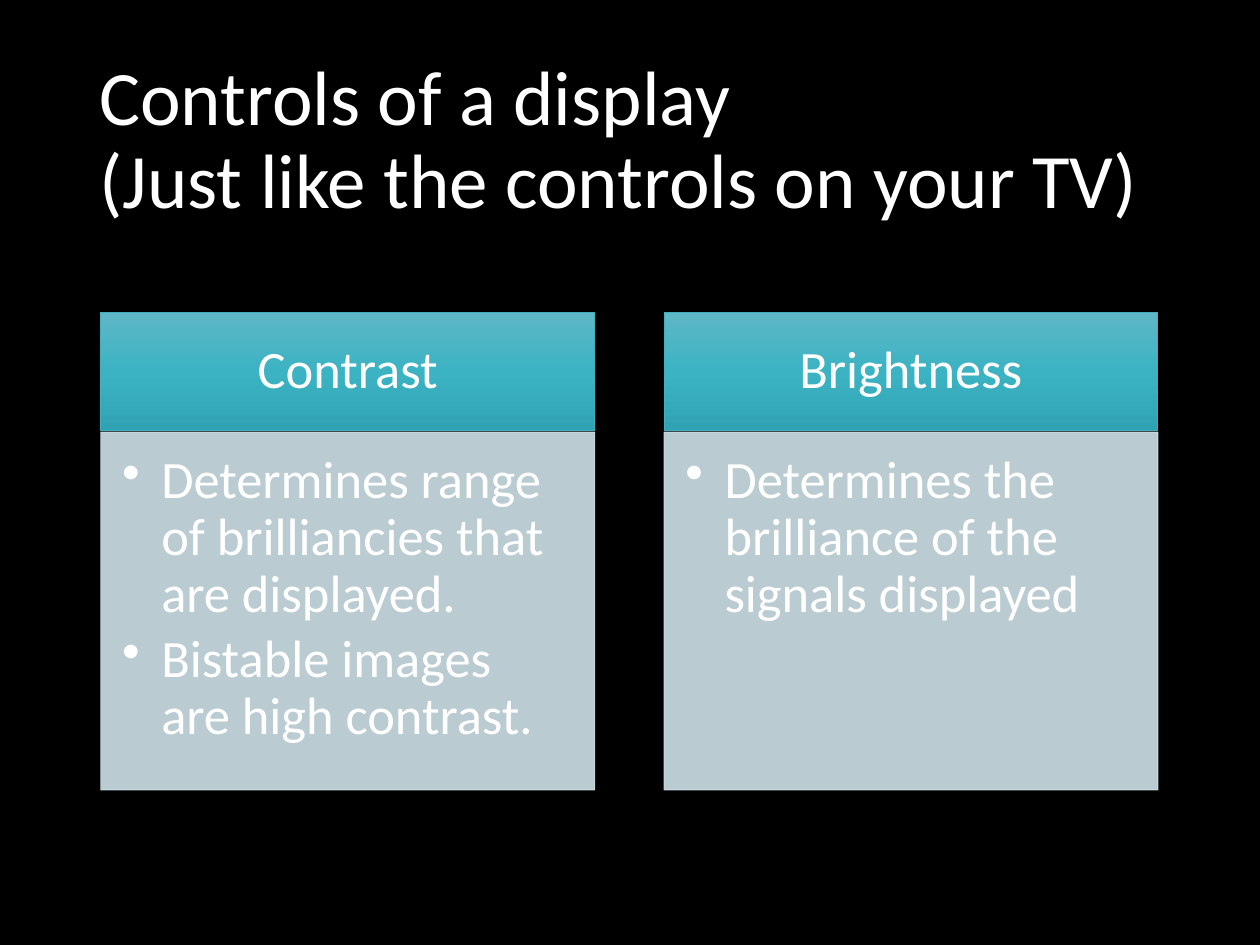
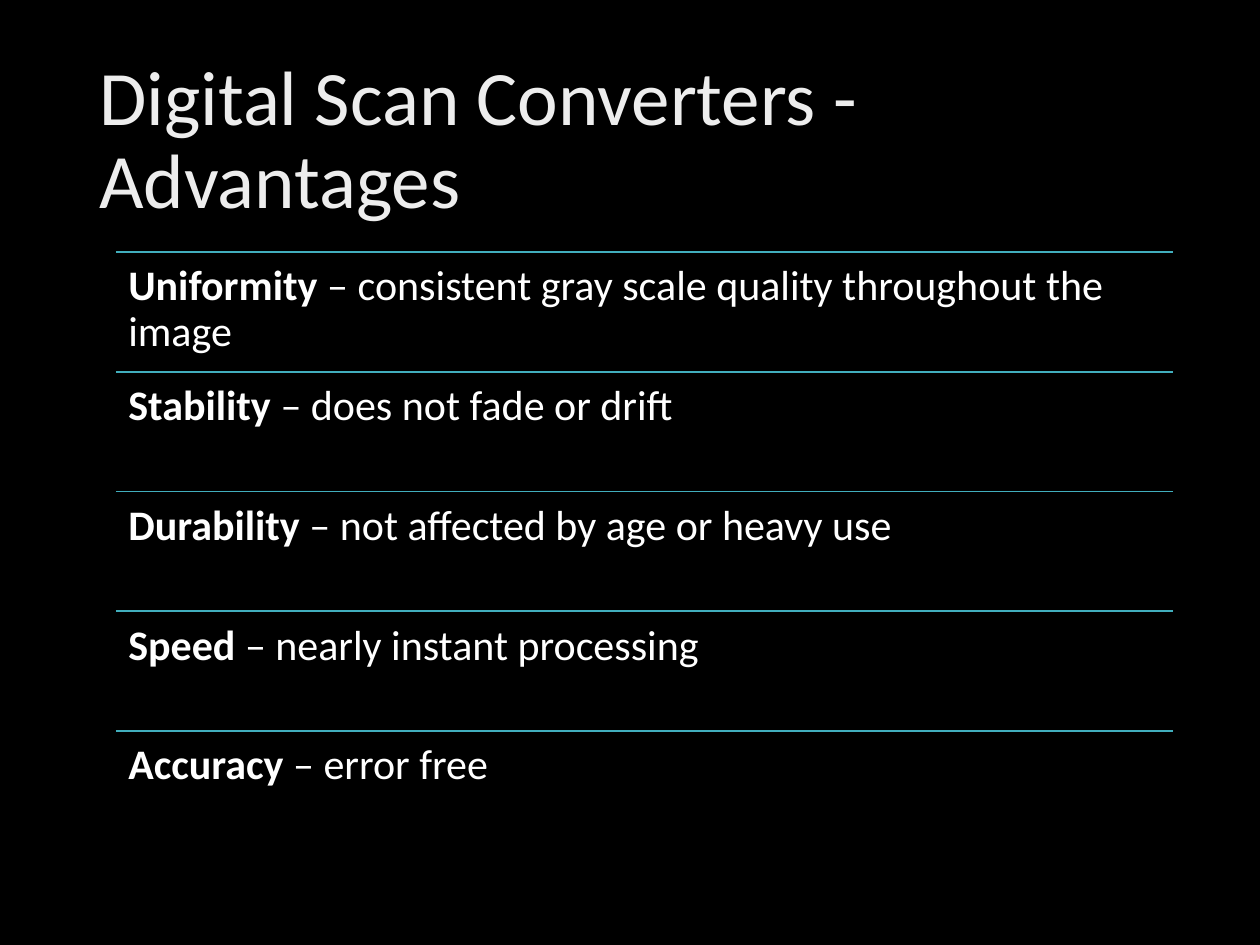
import copy
from dataclasses import dataclass

import pptx
import pptx.dml.color
import pptx.enum.shapes
import pptx.enum.text
import pptx.oxml.ns
import pptx.util
from lxml import etree
from pptx.util import Inches

FONT = "Calibri"
BLACK, WHITE, PALE = "000000", "FFFFFF", "EDEDED"
TEAL, MIST = "41AEBD", "CFE3E8"
HEAD_FADE = ((0, "5FB7C5"), (0.5, "3BB3C3"), (1, "2FA3B3"))
TOP, MIDDLE = pptx.enum.text.MSO_ANCHOR.TOP, pptx.enum.text.MSO_ANCHOR.MIDDLE
CENTER = pptx.enum.text.PP_ALIGN.CENTER
qn = pptx.oxml.ns.qn


@dataclass(frozen=True)
class Box:
    left: float
    top: float
    width: float
    height: float

    def lengths(self) -> list:
        return [Inches(n) for n in (self.left, self.top, self.width, self.height)]


@dataclass(frozen=True)
class Panel:
    head: str
    points: tuple


@dataclass(frozen=True)
class Gain:
    name: str
    detail: str


PANELS = (
    Panel("Contrast", ("Determines range of brilliancies that are displayed.",
                       "Bistable images are high contrast.")),
    Panel("Brightness", ("Determines the brilliance of the signals displayed",)),
)
GAINS = (
    Gain("Uniformity", "consistent gray scale quality throughout the image"),
    Gain("Stability", "does not fade or drift"),
    Gain("Durability", "not affected by age or heavy use"),
    Gain("Speed", "nearly instant processing"),
    Gain("Accuracy", "error free"),
)


def rgb(code: str) -> pptx.dml.color.RGBColor:
    return pptx.dml.color.RGBColor.from_string(code)


def set_frame(shape, anchor, insets: tuple):
    """Set wrap, anchor and insets (left, top, right, bottom)."""
    frame = shape.text_frame
    frame.word_wrap = True
    frame.vertical_anchor = anchor
    (frame.margin_left, frame.margin_top,
     frame.margin_right, frame.margin_bottom) = [Inches(n) for n in insets]
    return frame


def add_run(para, text: str, size: float, color: str = WHITE, bold: bool = False) -> None:
    run = para.add_run()
    run.text = text
    run.font.name = FONT
    run.font.size = pptx.util.Pt(size)
    run.font.bold = bold
    run.font.color.rgb = rgb(color)


def add_bullet(para, indent: float) -> None:
    props = para._p.get_or_add_pPr()
    props.set("marL", str(Inches(indent)))
    props.set("indent", str(-Inches(indent)))
    etree.SubElement(props, qn("a:buChar")).set("char", "•")


def add_slide(deck, lines: tuple, color: str):
    """Add a black slide with its title."""
    slide = deck.slides.add_slide(deck.slide_layouts[6])
    slide.background.fill.solid()
    slide.background.fill.fore_color.rgb = rgb(BLACK)
    box = slide.shapes.add_textbox(*Box(0.69, 0.4, 8.62, 1.45).lengths())
    para = set_frame(box, MIDDLE, (0.1, 0.05, 0.1, 0.05)).paragraphs[0]
    para.line_spacing = 0.9
    for i, line in enumerate(lines):
        if i:
            para.add_line_break()
        add_run(para, line, 44, color)
    return slide


def add_block(slide, box: Box, edge: str):
    block = slide.shapes.add_shape(pptx.enum.shapes.MSO_SHAPE.RECTANGLE, *box.lengths())
    block.shadow.inherit = False
    block.line.color.rgb = rgb(edge)
    block.line.width = pptx.util.Pt(0.5)
    return block


def fill_fade(shape, fade: tuple) -> None:
    """Fill from top to bottom with three colour stops."""
    shape.fill.gradient()
    shape.fill.gradient_angle = 270
    stops = shape._element.spPr.find(".//" + qn("a:gsLst"))
    stops.insert(1, copy.deepcopy(stops[0]))
    for stop, (place, color) in zip(shape.fill.gradient_stops, fade):
        stop.position = place
        stop.color.rgb = rgb(color)


def fill_sheer(shape, color: str, percent: int) -> None:
    """Fill with one colour and give fill and line the same opacity."""
    shape.fill.solid()
    shape.fill.fore_color.rgb = rgb(color)
    for tint in shape._element.spPr.iter(qn("a:srgbClr")):
        etree.SubElement(tint, qn("a:alpha")).set("val", str(percent * 1000))


def add_panel(slide, panel: Panel, left: float) -> None:
    head = add_block(slide, Box(left, 2.48, 3.92, 0.94), TEAL)
    fill_fade(head, HEAD_FADE)
    para = set_frame(head, MIDDLE, (0.23, 0.13, 0.23, 0.13)).paragraphs[0]
    para.alignment = CENTER
    para.line_spacing = 0.9
    add_run(para, panel.head, 30)

    body = add_block(slide, Box(left, 3.43, 3.92, 2.84), MIST)
    fill_sheer(body, MIST, 90)
    frame = set_frame(body, TOP, (0.17, 0.17, 0.23, 0.26))
    for i, point in enumerate(panel.points):
        para = frame.add_paragraph() if i else frame.paragraphs[0]
        add_bullet(para, 0.31)
        para.alignment = pptx.enum.text.PP_ALIGN.LEFT
        para.line_spacing = 0.9
        para.space_after = pptx.util.Pt(5)
        add_run(para, point, 30)


def add_gain(slide, gain: Gain, box: Box) -> None:
    left, top, width, height = box.lengths()
    rule = slide.shapes.add_connector(
        pptx.enum.shapes.MSO_CONNECTOR.STRAIGHT, left, top, left + width, top)
    rule.line.color.rgb = rgb(TEAL)
    rule.line.width = pptx.util.Pt(1)
    etree.SubElement(rule._element.spPr, qn("a:effectLst"))
    text = slide.shapes.add_textbox(left, top, width, height)
    para = set_frame(text, TOP, (0.1, 0.1, 0.1, 0.1)).paragraphs[0]
    para.line_spacing = 0.9
    add_run(para, gain.name + " ", 24, bold=True)
    add_run(para, "– " + gain.detail, 24)


def main() -> None:
    deck = pptx.Presentation()
    deck.slide_width, deck.slide_height = Inches(10), Inches(7.5)

    slide = add_slide(
        deck, ("Controls of a display ", "(Just like the controls on your TV)"), WHITE)
    for i, panel in enumerate(PANELS):
        add_panel(slide, panel, 0.8 + 4.47 * i)

    slide = add_slide(deck, ("Digital Scan Converters - Advantages",), PALE)
    for i, gain in enumerate(GAINS):
        add_gain(slide, gain, Box(0.92, 2 + 0.95 * i, 8.39, 0.95))

    deck.save("out.pptx")


if __name__ == "__main__":
    main()
